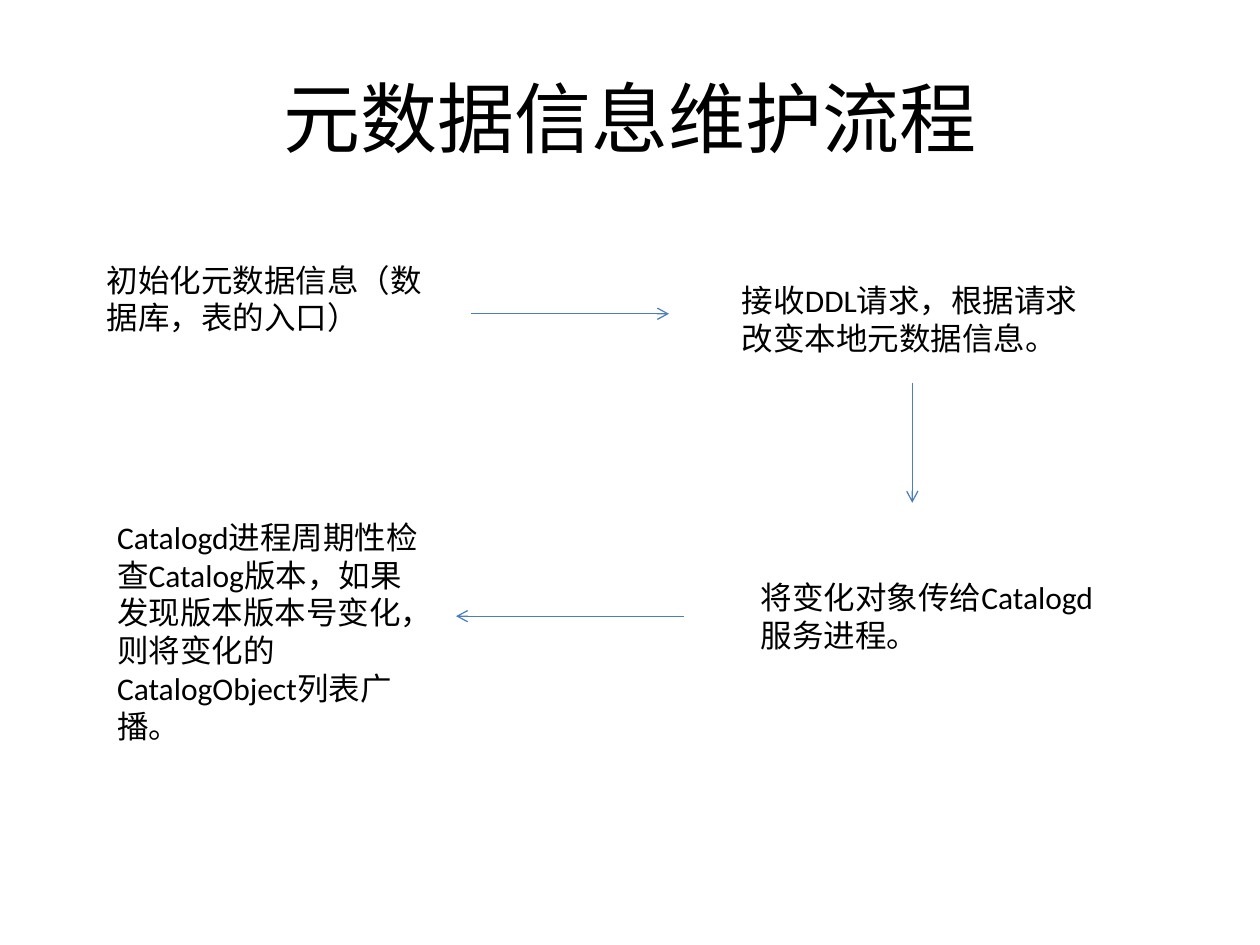
from lxml.etree import SubElement
from pptx import Presentation
from pptx.dml.color import RGBColor
from pptx.enum.shapes import MSO_CONNECTOR
from pptx.enum.text import MSO_ANCHOR, MSO_AUTO_SIZE, PP_ALIGN
from pptx.oxml.ns import qn
from pptx.util import Pt

COLORS = {"text": "000000", "arrow": "4B7EBC"}
FONT = "Calibri"

# Left, top, width, height and wording of each step
STEPS = [
    (54, 145.4, 198.7, 51.1, "初始化元数据信息（数据库，表的入口）"),
    (416.9, 157, 209.5, 51.1, "接收DDL请求，根据请求改变本地元数据信息。"),
    (427.7, 326.9, 209.5, 51.1, "将变化对象传给Catalogd服务进程。"),
    (59.8, 292.3, 187.2, 138.2,
     "Catalogd进程周期性检查Catalog版本，如果发现版本版本号变化，"
     "则将变化的CatalogObject列表广播。"),
]

# Start x, y and end x, y of each arrow between steps
FLOWS = [
    (269.3, 179.3, 382.3, 179.3),
    (521.3, 218.9, 521.3, 287.3),
    (391, 352.1, 260.6, 352.1),
]


def add_text(slide, left, top, width, height, wording, size=18):
    box = slide.shapes.add_textbox(Pt(left), Pt(top), Pt(width), Pt(height))
    frame = box.text_frame
    frame.word_wrap = True
    run = frame.paragraphs[0].add_run()
    run.text = wording
    run.font.name = FONT
    run.font.size = Pt(size)
    run.font.color.rgb = RGBColor.from_string(COLORS["text"])
    return frame


def add_title(slide, wording):
    title = add_text(slide, 36, 21.6, 648, 90, wording, size=44)
    title.vertical_anchor = MSO_ANCHOR.MIDDLE
    title.paragraphs[0].alignment = PP_ALIGN.CENTER


def add_step(slide, left, top, width, height, wording):
    step = add_text(slide, left, top, width, height, wording)
    step.auto_size = MSO_AUTO_SIZE.SHAPE_TO_FIT_TEXT


def add_arrow(slide, *ends):
    arrow = slide.shapes.add_connector(MSO_CONNECTOR.STRAIGHT, *map(Pt, ends))
    arrow.line.color.rgb = RGBColor.from_string(COLORS["arrow"])
    arrow.line.width = Pt(0.75)
    # Open arrowhead, no shadow
    SubElement(arrow.line._get_or_add_ln(), qn("a:tailEnd"), type="arrow")
    SubElement(arrow._element.spPr, qn("a:effectLst"))


def main():
    deck = Presentation()
    deck.slide_width, deck.slide_height = Pt(720), Pt(540)
    slide = deck.slides.add_slide(deck.slide_layouts[6])

    add_title(slide, "元数据信息维护流程")
    for step in STEPS:
        add_step(slide, *step)
    for flow in FLOWS:
        add_arrow(slide, *flow)

    deck.save("out.pptx")


main()
